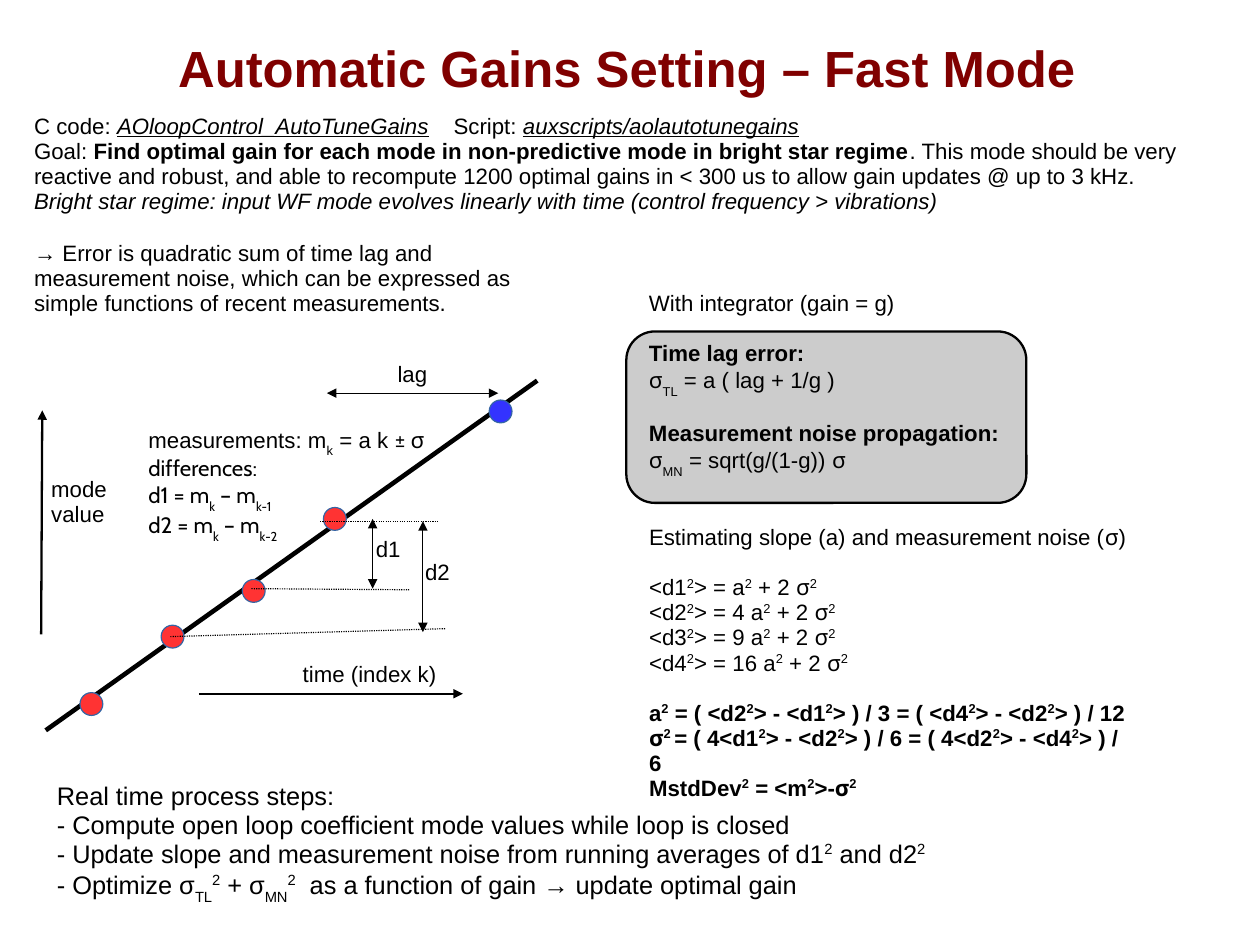
"""Build the slide on automatic gain setting in fast mode."""
from pptx import Presentation, util as u
from pptx.dml.color import RGBColor
from pptx.enum import dml, shapes as sh, text as tx
from pptx.oxml.ns import qn
from lxml import etree

PX = 9144
WIDE, HIGH = u.Cm(28), u.Cm(21)
TITLE = ("Automatic Gains Setting – Fast Mode", (55, 33, 988, 57))
PANEL = (548, 290, 350, 150)
BLACK, RED, BLUE = "000000", "FF3333", "3333FF"
GAP = 15.75
TAB = 367
RAISED, LOWERED, BOLD, ITALIC, LINKED, CABIN = "^_*/#~"
ABOVE, STRONG = "+!"

NOTES = [
    ((20, 95, 1050, 153), 14, True, [
        "C code: |#AOloopControl_AutoTuneGains|\tScript: |#auxscripts/aolautotunegains",
        "Goal: |*Find optimal gain for each mode in non-predictive mode in bright star regime"
        "|. This mode should be very reactive and robust, and able to recompute 1200 optimal "
        "gains in < 300 us to allow gain updates @ up to 3 kHz.",
        "/Bright star regime: input WF mode evolves linearly with time "
        "(control frequency > vibrations)"]),
    ((20, 206, 470, 90), 14, True, [
        "→ Error is quadratic sum of time lag and measurement noise, which can be "
        "expressed as simple functions of recent measurements."]),
    ((255, 575, 141, 33), 14, False, ["time (index k)"]),
    ((35, 413, 80, 55), 14, True, ["mode value"]),
    ((120, 368, 267, 118), 14, False, [
        "measurements: m|_k| = a k |~± σ",
        "~differences:",
        "~d1 = m|~_k|~ – m|~_k-1",
        "~d2 = m|~_k|~ – m|~_k-2"]),
    ((338, 312, 50, 33), 14, False, ["lag"]),
    ((319, 465, 45, 33), 14, False, ["d1"]),
    ((362, 485, 45, 33), 14, False, ["d2"]),
    ((558, 250, 330, 177), 14, False, [
        "With integrator (gain = g)",
        "+!Time lag error:",
        "~σ|_TL| = a ( lag + 1/g )",
        "+!Measurement noise propagation:",
        "~σ|_MN| = sqrt(g/(1-g)) |~σ"]),
    ((558, 455, 442, 235), 14, False, [
        "Estimating slope (a) and measurement noise (|~σ|)",
        "+<d1|^2|> = a|^2| + 2 |~σ|^2",
        "<d2|^2|> = 4 a|^2| + 2 |~σ|^2",
        "<d3|^2|> = 9 a|^2| + 2 |~σ|^2",
        "<d4|^2|> = 16 a|^2| + 2 |~σ|^2",
        "+!a|^2| = ( <d2|^2|> - <d1|^2|> ) / 3 = ( <d4|^2|> - <d2|^2|> ) / 12",
        "!~σ|^2 |= ( 4<d1|^2|> - <d2|^2|> ) / 6 = ( 4<d2|^2|> - <d4|^2|> ) / 6",
        "!MstdDev|^2| = <m|^2|>-|~σ|^2"]),
    ((40, 680, 784, 118), 16, False, [
        "Real time process steps:",
        "- Compute open loop coefficient mode values while loop is closed",
        "- Update slope and measurement noise from running averages of d1|^2| and d2|^2",
        "- Optimize σ|_TL|^2| + σ|_MN|^2|  as a function of gain → update optimal gain"]),
]
TREND = (40, 639, 470, 333)
AXES = [(174, 607, 405, 607), (36, 555, 37, 359)]
SPANS = [(286, 344, 436, 344), (326, 454, 326, 515), (370, 456, 370, 553)]
GUIDES = [(280, 456, 383, 456), (220, 515, 358, 516), (149, 557, 390, 550)]
DOT = 20
DOTS = [(70, 606, RED), (141, 547, RED), (212, 507, RED), (283, 444, RED), (428, 350, BLUE)]


def hue(code):
    return RGBColor.from_string(code)


def emu(nums):
    return [n * PX for n in nums]


def split(words, signs):
    body = words.lstrip(signs)
    return words[:len(words) - len(body)], body


def style(run, size, color=BLACK, bold=False, face="Arial"):
    font = run.font
    font.size, font.bold, font.name = u.Pt(size), bold, face
    font.color.rgb = hue(color)


def add_part(para, part, size, bold):
    marks, body = split(part, RAISED + LOWERED + BOLD + ITALIC + LINKED + CABIN)
    run = para.add_run()
    run.text = body
    style(run, size, BLACK, bold or BOLD in marks, "Cabin" if CABIN in marks else "Arial")
    run.font.italic = ITALIC in marks or LINKED in marks
    run.font.underline = LINKED in marks
    shift = 33000 * ((RAISED in marks) - (LOWERED in marks))
    if shift:
        run.font._element.set("baseline", str(shift))


def add_note(slide, box, size, wrap, lines):
    frame = slide.shapes.add_textbox(*emu(box)).text_frame
    frame.word_wrap = wrap
    for i, line in enumerate(lines):
        para = frame.paragraphs[0] if i == 0 else frame.add_paragraph()
        para.line_spacing = 0.94
        marks, body = split(line, ABOVE + STRONG)
        if ABOVE in marks:
            para.space_before = u.Pt(GAP)
        if "\t" in body:
            tabs = etree.SubElement(para._p.get_or_add_pPr(), qn("a:tabLst"))
            etree.SubElement(tabs, qn("a:tab"), pos=str(TAB * PX), algn="l")
        for part in body.split("|"):
            if part:
                add_part(para, part, size, STRONG in marks)


def add_line(slide, ends, width, tips=(), dash=None):
    link = slide.shapes.add_connector(sh.MSO_CONNECTOR.STRAIGHT, *emu(ends))
    link.line.width = u.Pt(width)
    link.line.color.rgb = hue(BLACK)
    if dash:
        link.line.dash_style = dash
    props = link._element.spPr
    for tip in tips:
        etree.SubElement(props.find(qn("a:ln")), qn("a:" + tip), type="triangle")
    etree.SubElement(props, qn("a:effectLst"))


def add_form(slide, kind, box, fill, edge, width):
    form = slide.shapes.add_shape(kind, *emu(box))
    form.shadow.inherit = False
    form.fill.solid()
    form.fill.fore_color.rgb = hue(fill)
    form.line.color.rgb = hue(edge)
    form.line.width = u.Pt(width)


def add_title(slide, words, box):
    title = slide.shapes.title
    title.left, title.top, title.width, title.height = emu(box)
    frame = title.text_frame
    frame.text = words
    frame.margin_left = frame.margin_right = frame.margin_top = frame.margin_bottom = 0
    frame.vertical_anchor = tx.MSO_ANCHOR.MIDDLE
    para = frame.paragraphs[0]
    para.alignment = tx.PP_ALIGN.CENTER
    para.line_spacing = 0.94
    style(para.runs[0], 32, "800000", True)


def main():
    deck = Presentation()
    deck.slide_width = WIDE
    deck.slide_height = HIGH
    slide = deck.slides.add_slide(deck.slide_layouts[5])
    add_title(slide, *TITLE)
    add_form(slide, sh.MSO_SHAPE.ROUNDED_RECTANGLE, PANEL, "CCCCCC", BLACK, 1.45)
    add_line(slide, TREND, 2.89)
    for x, y, fill in DOTS:
        add_form(slide, sh.MSO_SHAPE.OVAL, (x, y, DOT, DOT), fill, "3465A4", 0.75)
    for ends in AXES:
        add_line(slide, ends, 1.45, ["tailEnd"])
    for ends in SPANS:
        add_line(slide, ends, 0.75, ["headEnd", "tailEnd"])
    for ends in GUIDES:
        add_line(slide, ends, 0.75, dash=dml.MSO_LINE.ROUND_DOT)
    for note in NOTES:
        add_note(slide, *note)
    deck.save("out.pptx")


if __name__ == "__main__":
    main()
